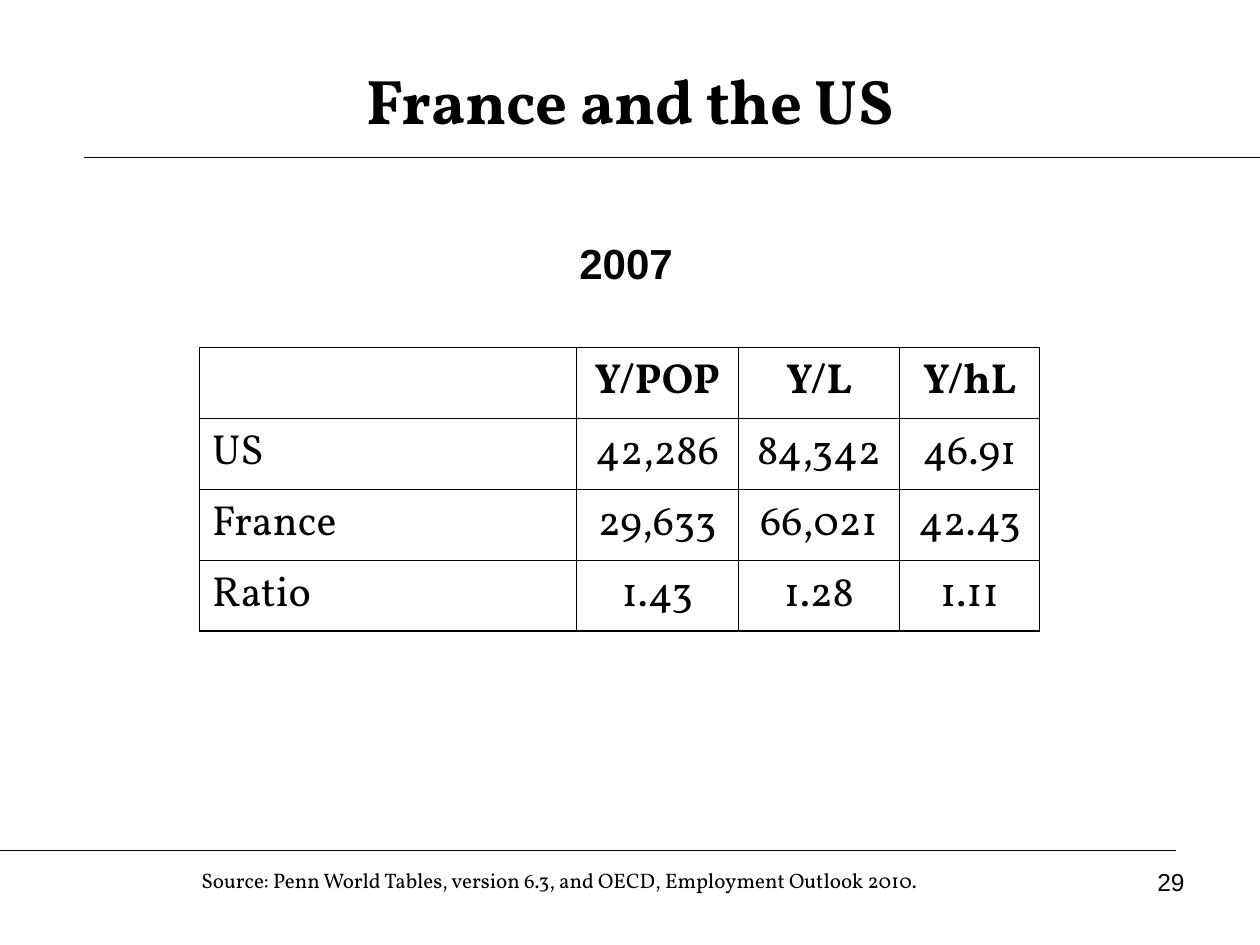
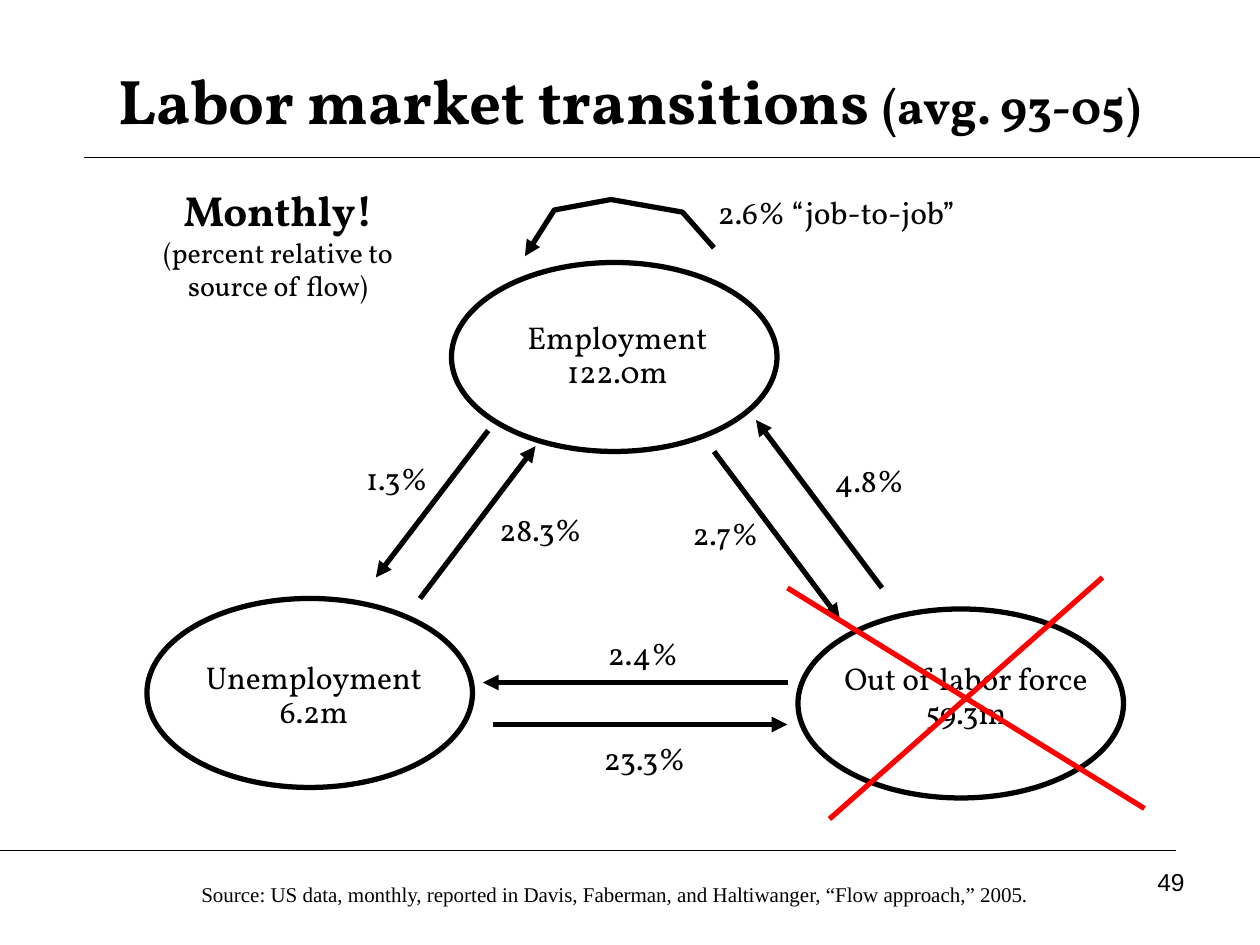
from dataclasses import dataclass

from pptx import Presentation
from pptx import util as u
from pptx.dml.color import RGBColor
from pptx.enum import shapes, text
from pptx.oxml import ns, xmlchemy

COLUMNS, ROWS = 120, 90
CENTER, RIGHT = text.PP_ALIGN.CENTER, text.PP_ALIGN.RIGHT
MIDDLE = text.MSO_ANCHOR.MIDDLE


@dataclass(frozen=True)
class Theme:
    ink: str = "000000"
    strike: str = "FF0000"
    serif: str = "Vollkorn"
    sans: str = "Arial"
    roman: str = "Times New Roman"
    title: int = 36
    subtitle: int = 28
    heading: int = 24
    body: int = 18
    remark: int = 16
    page: int = 14
    source: int = 12
    rule: float = 0.75
    bold_line: float = 3
    cell_line: float = 0.45
    table_edge: float = 1.08


THEME = Theme()


def add_element(parent, tag, **attributes):
    element = xmlchemy.OxmlElement(tag)
    for name, value in attributes.items():
        element.set(name, value)
    parent.append(element)
    return element


def write_text(frame, paragraphs, align=None, spacing=None, **run_format):
    """Fill a frame; a paragraph is a string or a list of (text, format) runs."""
    frame.word_wrap = True
    for index, runs in enumerate(paragraphs):
        paragraph = frame.add_paragraph() if index else frame.paragraphs[0]
        paragraph.alignment = align
        paragraph.line_spacing = spacing
        for words, changes in [(runs, {})] if isinstance(runs, str) else runs:
            if words == "\n":
                paragraph.add_line_break()
                continue
            style = {"font": THEME.serif, "size": THEME.body, "bold": False,
                     **run_format, **changes}
            run = paragraph.add_run()
            run.text = words
            run.font.name = style["font"]
            run.font.size = u.Pt(style["size"])
            run.font.bold = style["bold"]
            run.font.color.rgb = RGBColor.from_string(THEME.ink)


class Deck:
    """Holds the presentation and draws on its current slide in grid units."""

    def __init__(self):
        self.presentation = Presentation()
        self.presentation.slide_width = u.Inches(10)
        self.presentation.slide_height = u.Inches(7.5)
        self.slide = None

    def x(self, column):
        return u.Emu(round(self.presentation.slide_width * column / COLUMNS))

    def y(self, row):
        return u.Emu(round(self.presentation.slide_height * row / ROWS))

    def box(self, column, row, width, height):
        return self.x(column), self.y(row), self.x(width), self.y(height)

    def start_slide(self, title, page, source, source_box, source_font=THEME.serif):
        blank = self.presentation.slide_layouts[6]
        self.slide = self.presentation.slides.add_slide(blank)
        self.line((8, 15), (120, 15), width=THEME.rule)
        self.line((0, 81), (112, 81), width=THEME.rule)
        self.text((6, 4, 108, 11), [title], anchor=MIDDLE, align=CENTER,
                  size=THEME.title, bold=True)
        self.text(source_box, [source], size=THEME.source, font=source_font)
        self.text((86, 82, 28, 6.2), [page], align=RIGHT, size=THEME.page,
                  font=THEME.sans)

    def text(self, area, paragraphs, anchor=text.MSO_ANCHOR.TOP, **text_format):
        frame = self.slide.shapes.add_textbox(*self.box(*area)).text_frame
        frame.vertical_anchor = anchor
        write_text(frame, paragraphs, **text_format)

    def outline(self, shape, color, width, arrow=False):
        shape.line.color.rgb = RGBColor.from_string(color)
        shape.line.width = u.Pt(width)
        if arrow:
            add_element(shape.element.spPr.find(ns.qn("a:ln")), "a:tailEnd",
                        type="triangle")

    def line(self, start, end, color=THEME.ink, width=THEME.bold_line, arrow=False):
        connector = self.slide.shapes.add_connector(
            shapes.MSO_CONNECTOR.STRAIGHT, self.x(start[0]), self.y(start[1]),
            self.x(end[0]), self.y(end[1]))
        self.outline(connector, color, width, arrow)
        add_element(connector.element.spPr, "a:effectLst")

    def bent_arrow(self, points):
        corners = [(self.x(column), self.y(row)) for column, row in points]
        builder = self.slide.shapes.build_freeform(*corners[0])
        builder.add_line_segments(corners[1:], close=False)
        shape = builder.convert_to_shape()
        shape.shadow.inherit = False
        shape.fill.background()
        self.outline(shape, THEME.ink, THEME.bold_line, arrow=True)

    def ellipse(self, area):
        shape = self.slide.shapes.add_shape(shapes.MSO_SHAPE.OVAL, *self.box(*area))
        shape.shadow.inherit = False
        shape.fill.background()
        self.outline(shape, THEME.ink, THEME.bold_line)

    def table(self, column, row, widths, row_height, records):
        """Draw a table with a bold header row and a left-aligned first column."""
        area = self.box(column, row, sum(widths), row_height * len(records))
        table = self.slide.shapes.add_table(len(records), len(widths), *area).table
        table.first_row = table.horz_banding = False
        for table_column, width in zip(table.columns, widths):
            table_column.width = self.x(width)
        last_row, last_column = len(records) - 1, len(widths) - 1
        for i, record in enumerate(records):
            table.rows[i].height = self.y(row_height)
            for j, words in enumerate(record):
                cell = table.cell(i, j)
                cell.vertical_anchor = MIDDLE
                write_text(cell.text_frame, [words], align=CENTER if j else None,
                           size=THEME.heading, bold=i == 0)
                self.cell_borders(cell, lnL=j == 0, lnR=j == last_column,
                                  lnT=i == 0, lnB=i == last_row)
                cell.fill.background()

    def cell_borders(self, cell, **outer_sides):
        properties = cell._tc.get_or_add_tcPr()
        for side, is_outer in outer_sides.items():
            width = u.Pt(THEME.table_edge if is_outer else THEME.cell_line)
            border = add_element(properties, f"a:{side}", w=str(int(width)))
            fill = add_element(border, "a:solidFill")
            add_element(fill, "a:srgbClr", val=THEME.ink)


def build_comparison(deck):
    deck.start_slide(
        "France and the US", "29",
        "Source: Penn World Tables, version 6.3, and OECD, Employment Outlook 2010.",
        (18, 82, 74, 3.6))
    deck.line((15, 15), (120, 15), width=THEME.rule)
    deck.line((0, 81), (85, 81), width=THEME.rule)
    deck.text((54, 22, 15, 6), ["2007"], size=THEME.heading, font=THEME.sans,
              bold=True)
    deck.table(19, 33.1, (35.9, 15.4, 15.4, 13.3), 6.75, [
        ("", "Y/POP", "Y/L", "Y/hL"),
        ("US", "42,286", "84,342", "46.91"),
        ("France", "29,633", "66,021", "42.43"),
        ("Ratio", "1.43", "1.28", "1.11"),
    ])


def build_transitions(deck):
    deck.start_slide(
        [("Labor market transitions ", {}), ("(avg. 93-05)", {"size": THEME.subtitle})],
        "49",
        "Source: US data, monthly, reported in Davis, Faberman, and Haltiwanger, "
        "“Flow approach,” 2005.",
        (18, 83.4, 83, 3.6), THEME.roman)

    states = [
        ((43, 25), (48.8, 30.1, 20), ["Employment", "122.0m"]),
        ((76, 58), (78.5, 62.6, 27), ["Out of labor force", "59.3m"]),
        ((14, 57), (17.9, 62.5, 24), ["Unemployment", "6.2m"]),
    ]
    for corner, label, lines in states:
        deck.ellipse((*corner, 31, 18))
        deck.text((*label, 7.7), lines, align=CENTER, spacing=0.9)

    flows = [
        ((40, 57), (51, 42.5), "28.3%", (45, 48, 13)),
        ((46.5, 41), (35.8, 55), "1.3%", (32.8, 43.1, 10)),
        ((68, 43), (80, 59), "2.7%", (64.1, 48.4, 10)),
        ((47, 69), (75, 69), "23.3%", (55.1, 69.8, 12.6)),
        ((75, 65), (46, 65), "2.4%", (56.5, 59.8, 9.5)),
        ((84, 56), (72, 40), "4.8%", (77.8, 43.3, 10)),
    ]
    for start, end, rate, label in flows:
        deck.line(start, end, arrow=True)
        deck.text((*label, 4.8), [rate], align=CENTER)

    deck.bent_arrow([(68, 23.6), (65, 20.2), (58.2, 19), (52.8, 20), (50, 24.4)])
    deck.text((67.2, 17.8, 30, 4.8), ["2.6% “job-to-job”"])
    deck.text((14, 17, 25, 17.3), [[
        ("Monthly!", {"size": THEME.heading, "bold": True}), ("\n", {}),
        ("(percent relative to source of flow)", {"size": THEME.remark}),
    ]], align=CENTER)

    for start, end in [((75, 56), (109, 77)), ((79, 78), (105, 55))]:
        deck.line(start, end, color=THEME.strike)


def main():
    deck = Deck()
    build_comparison(deck)
    build_transitions(deck)
    deck.presentation.save("out.pptx")


if __name__ == "__main__":
    main()
